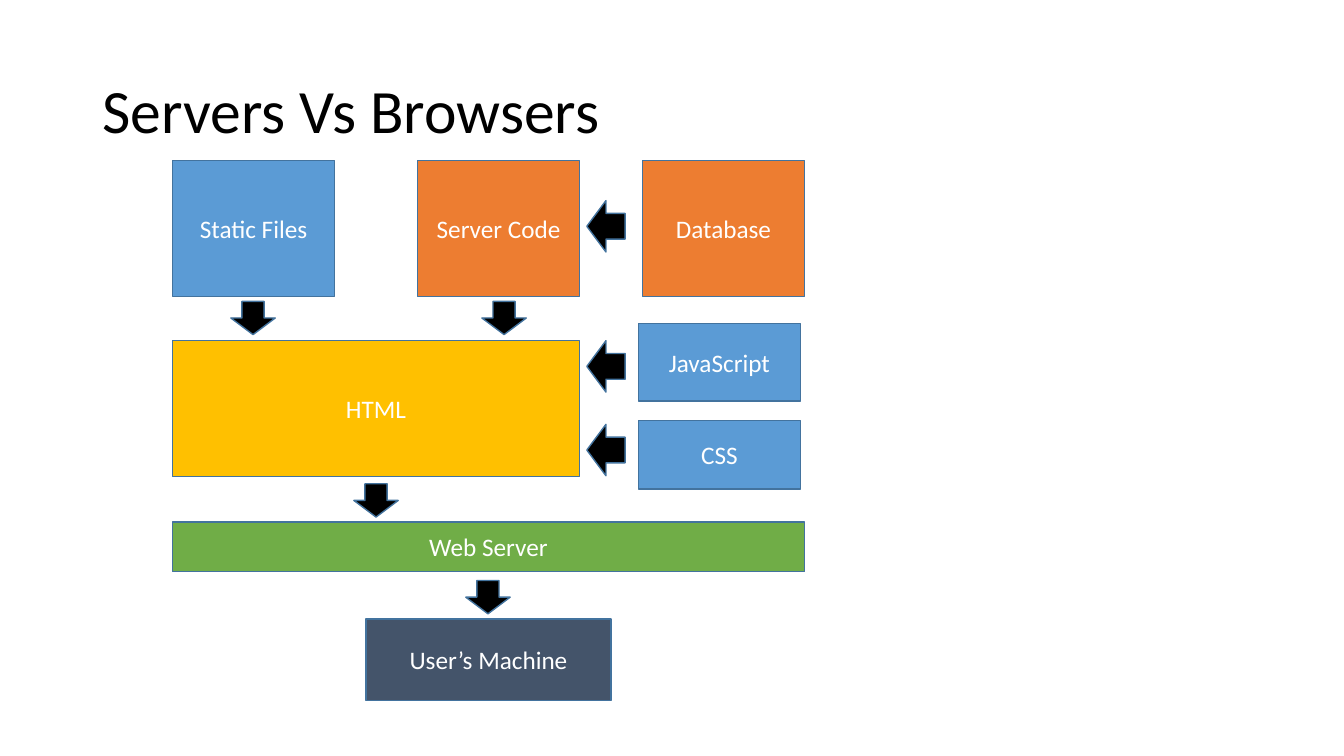
"""Build the Servers Vs Browsers slide: a flow from files and code to the user."""
from pptx import Presentation
from pptx.dml.color import RGBColor
from pptx.enum.shapes import MSO_SHAPE
from pptx.enum.text import MSO_ANCHOR, PP_ALIGN
from pptx.util import Inches, Pt

FONT = "Calibri"
BLUE, ORANGE, GOLD, GREEN, SLATE = "5B9BD5", "ED7D31", "FFC000", "70AD47", "44546A"
BLACK, WHITE, OUTLINE = "000000", "FFFFFF", "43739E"

# Grid: each column is (left, width), each row is (top, height), in inches.
COLUMNS = {
    "files": (1.71, 1.61),
    "code": (4.14, 1.61),
    "assets": (6.33, 1.61),
    "database": (6.37, 1.61),
    "page": (1.71, 4.04),
    "all": (1.71, 6.27),
    "user": (3.63, 2.43),
}
ROWS = {
    "sources": (1.59, 1.35),
    "page": (3.38, 1.35),
    "script": (3.21, 0.77),
    "style": (4.17, 0.68),
    "server": (5.18, 0.49),
    "user": (6.14, 0.81),
}
BOXES = [
    ("Server Code", "code", "sources", ORANGE),
    ("Static Files", "files", "sources", BLUE),
    ("HTML", "page", "page", GOLD),
    ("JavaScript", "assets", "script", BLUE),
    ("CSS", "assets", "style", BLUE),
    ("Database", "database", "sources", ORANGE),
    ("Web Server", "all", "server", GREEN),
    ("User’s Machine", "user", "user", SLATE),
]
DOWN_SIZE, LEFT_SIZE = (0.44, 0.33), (0.38, 0.51)
DOWN_ARROWS = [(2.29, 2.99), (4.78, 2.99), (3.51, 4.8), (4.62, 5.76)]
LEFT_ARROWS = [(5.82, top) for top in (3.38, 4.21, 1.99)]


def color(value):
    """Return the colour for a hex string."""
    return RGBColor.from_string(value)


def add_text(shape, text, size, text_color, alignment):
    """Write one vertically centred run of text into a shape."""
    frame = shape.text_frame
    frame.word_wrap = True
    frame.vertical_anchor = MSO_ANCHOR.MIDDLE
    paragraph = frame.paragraphs[0]
    paragraph.alignment = alignment
    run = paragraph.add_run()
    run.text = text
    run.font.name = FONT
    run.font.size = Pt(size)
    run.font.color.rgb = color(text_color)
    return paragraph


def add_title(slide, text):
    """Add the slide title."""
    box = slide.shapes.add_textbox(Inches(0.92), Inches(0.4), Inches(11.5), Inches(1.45))
    paragraph = add_text(box, text, 44, BLACK, PP_ALIGN.LEFT)
    paragraph.line_spacing = 0.9


def add_outlined(slide, kind, position, size, fill):
    """Add a filled preset shape with the common thin outline."""
    shape = slide.shapes.add_shape(kind, *map(Inches, position + size))
    shape.shadow.inherit = False
    shape.fill.solid()
    shape.fill.fore_color.rgb = color(fill)
    shape.line.color.rgb = color(OUTLINE)
    shape.line.width = Pt(1)
    return shape


def add_box(slide, label, column, row, fill):
    """Add a labelled box in a grid cell."""
    left, width = COLUMNS[column]
    top, height = ROWS[row]
    box = add_outlined(slide, MSO_SHAPE.RECTANGLE, (left, top), (width, height), fill)
    add_text(box, label, 18, WHITE, PP_ALIGN.CENTER)


def add_arrows(slide, kind, positions, size):
    """Add equal black block arrows at the given positions."""
    for position in positions:
        add_outlined(slide, kind, position, size, BLACK)


def main():
    """Build and save the slide."""
    presentation = Presentation()
    presentation.slide_width = Inches(13.33)
    presentation.slide_height = Inches(7.5)
    slide = presentation.slides.add_slide(presentation.slide_layouts[6])
    add_title(slide, "Servers Vs Browsers")
    for box in BOXES:
        add_box(slide, *box)
    add_arrows(slide, MSO_SHAPE.DOWN_ARROW, DOWN_ARROWS, DOWN_SIZE)
    add_arrows(slide, MSO_SHAPE.LEFT_ARROW, LEFT_ARROWS, LEFT_SIZE)
    presentation.save("out.pptx")


if __name__ == "__main__":
    main()
